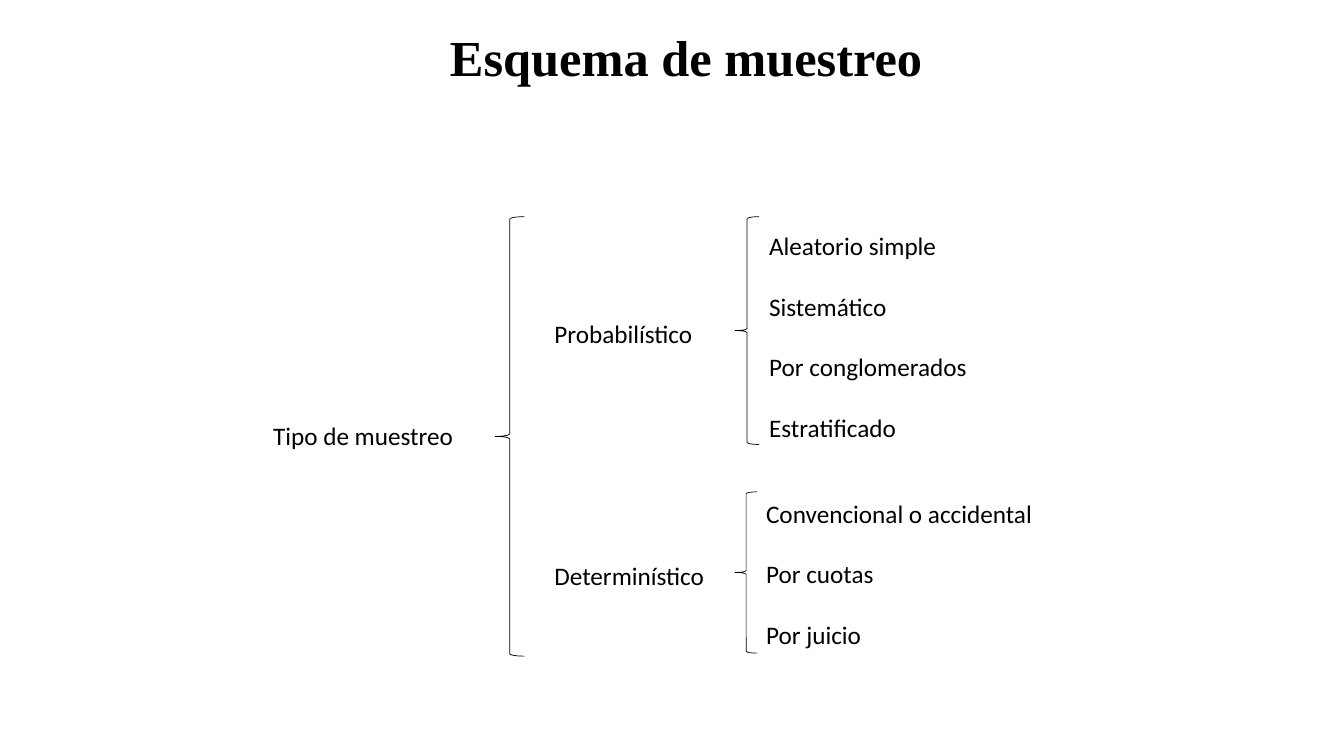
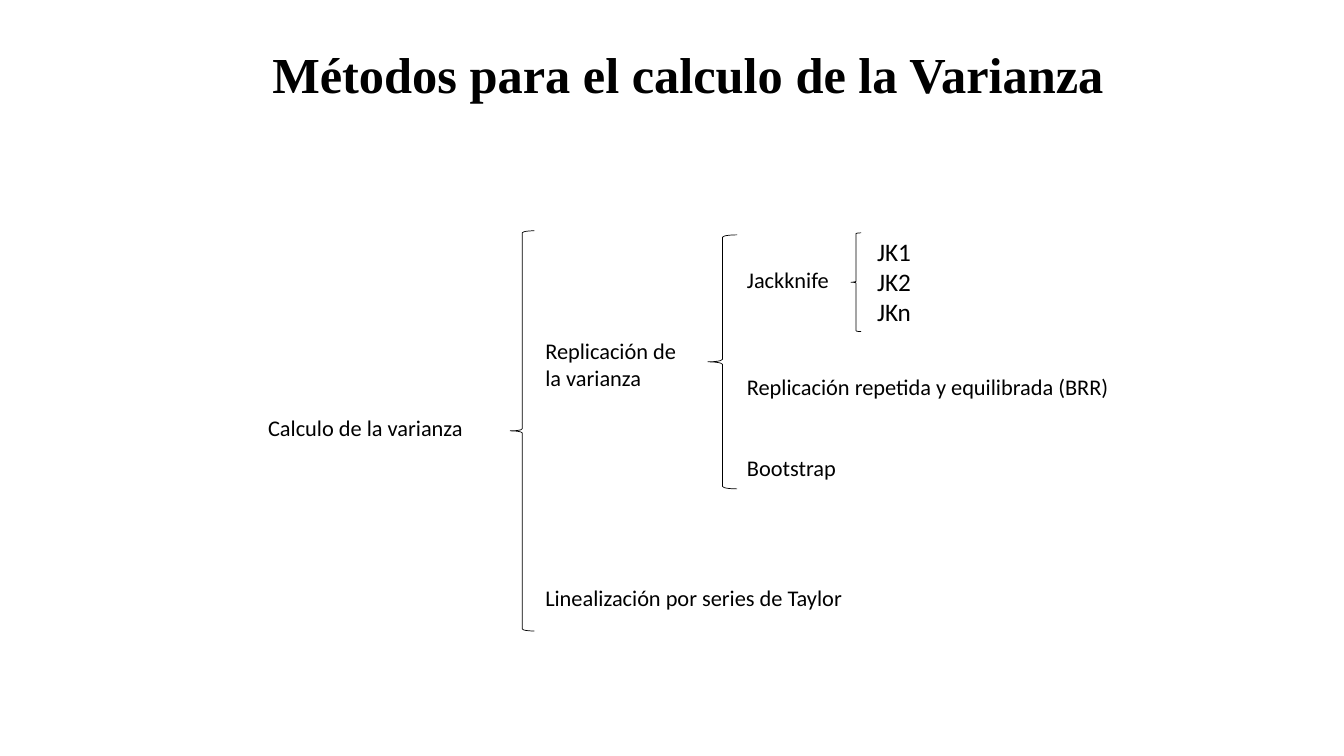
from pptx import Presentation
from pptx.dml.color import RGBColor
from pptx.enum.shapes import MSO_SHAPE
from pptx.enum.text import MSO_AUTO_SIZE, PP_ALIGN
from pptx.util import Inches, Pt

BLACK = RGBColor(0, 0, 0)
WHITE = RGBColor(255, 255, 255)
LINE_HEIGHT = 1.2
TITLE = {"name": "Times New Roman", "size": Pt(36), "bold": True}
LABEL = {"name": "Calibri", "size": Pt(18), "bold": False}
SMALL_LABEL = {**LABEL, "size": Pt(16)}
LEFT, CENTER = PP_ALIGN.LEFT, PP_ALIGN.CENTER

SLIDES = [
    {
        "title": ("Esquema de muestreo", (1.08, 0.21, 11.45, 0.71)),
        "labels": [
            (["Tipo de muestreo"], (2.61, 4.12, 2.11, 0.34), LABEL, LEFT, []),
            (["Probabilístico", "Determinístico"], (5.4, 3.11, 2.11, 2.83), LABEL, LEFT, [7]),
            (["Aleatorio simple", "Sistemático", "Por conglomerados", "Estratificado"],
             (7.53, 2.24, 3.2, 2.22), LABEL, LEFT, [1, 1, 1]),
            (["Convencional o accidental", "Por cuotas", "Por juicio"],
             (7.5, 4.89, 3.2, 1.62), LABEL, LEFT, [1, 1]),
        ],
        "braces": [(7.29, 2.15, 0.24, 2.26), (7.29, 4.88, 0.22, 1.6), (4.91, 2.15, 0.29, 4.36)],
    },
    {
        "title": ("Métodos para el calculo de la Varianza", (1.1, 0.38, 11.45, 0.71)),
        "labels": [
            (["Calculo de la varianza"], (2.46, 4.06, 2.33, 0.37), SMALL_LABEL, CENTER, []),
            (["Replicación de la varianza"], (5.31, 3.3, 1.69, 1.27), SMALL_LABEL, LEFT, []),
            (["Linealización por series de Taylor"], (5.31, 5.75, 4.87, 0.37), SMALL_LABEL, LEFT, []),
            (["Jackknife", "Replicación repetida y equilibrada (BRR)", "Bootstrap"],
             (7.31, 2.59, 4.94, 2.26), SMALL_LABEL, LEFT, [3, 2]),
            (["JK1", "JK2", "JKn"], (8.6, 2.29, 1.59, 1.01), LABEL, LEFT, [0, 0]),
        ],
        "braces": [(7.02, 2.33, 0.29, 2.52), (5.06, 2.29, 0.24, 3.97), (8.44, 2.31, 0.1, 0.98)],
    },
]


def add_text(slide, lines, box, style, alignment, gaps):
    frame = slide.shapes.add_textbox(*map(Inches, box)).text_frame
    frame.word_wrap = True
    frame.auto_size = MSO_AUTO_SIZE.SHAPE_TO_FIT_TEXT
    for index, line in enumerate(lines):
        paragraph = frame.add_paragraph() if index else frame.paragraphs[0]
        paragraph.text = line
        paragraph.alignment = alignment
        if index and gaps[index - 1]:
            paragraph.space_before = Pt(gaps[index - 1] * LINE_HEIGHT * style["size"].pt)
        for name, value in style.items():
            setattr(paragraph.font, name, value)
        paragraph.font.color.rgb = BLACK


def add_brace(slide, box):
    brace = slide.shapes.add_shape(MSO_SHAPE.LEFT_BRACE, *map(Inches, box))
    brace.shadow.inherit = False
    brace.fill.background()
    brace.line.color.rgb = BLACK
    brace.line.width = Pt(0.5)


def main():
    presentation = Presentation()
    presentation.slide_width = Inches(13.33)
    presentation.slide_height = Inches(7.5)
    for content in SLIDES:
        slide = presentation.slides.add_slide(presentation.slide_layouts[6])
        slide.background.fill.solid()
        slide.background.fill.fore_color.rgb = WHITE
        title, box = content["title"]
        add_text(slide, [title], box, TITLE, CENTER, [])
        for label in content["labels"]:
            add_text(slide, *label)
        for brace_box in content["braces"]:
            add_brace(slide, brace_box)
    presentation.save("out.pptx")


if __name__ == "__main__":
    main()
